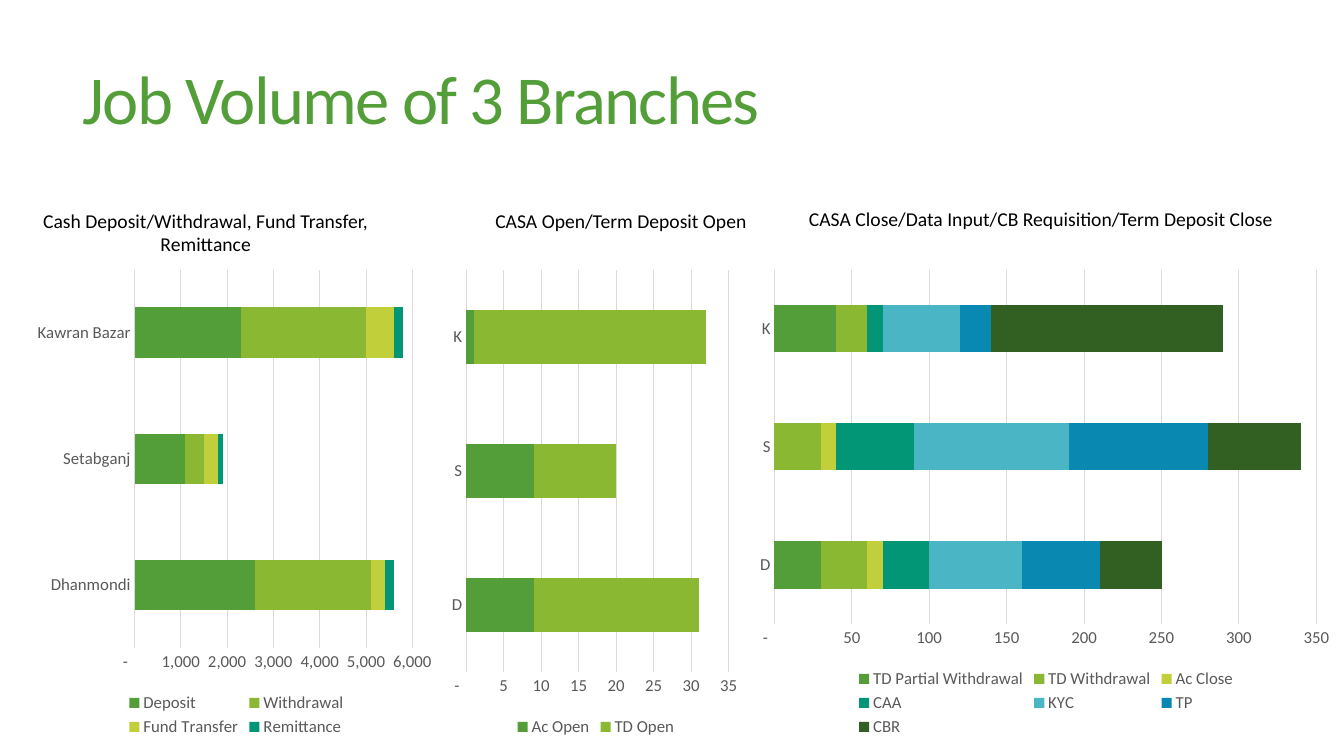
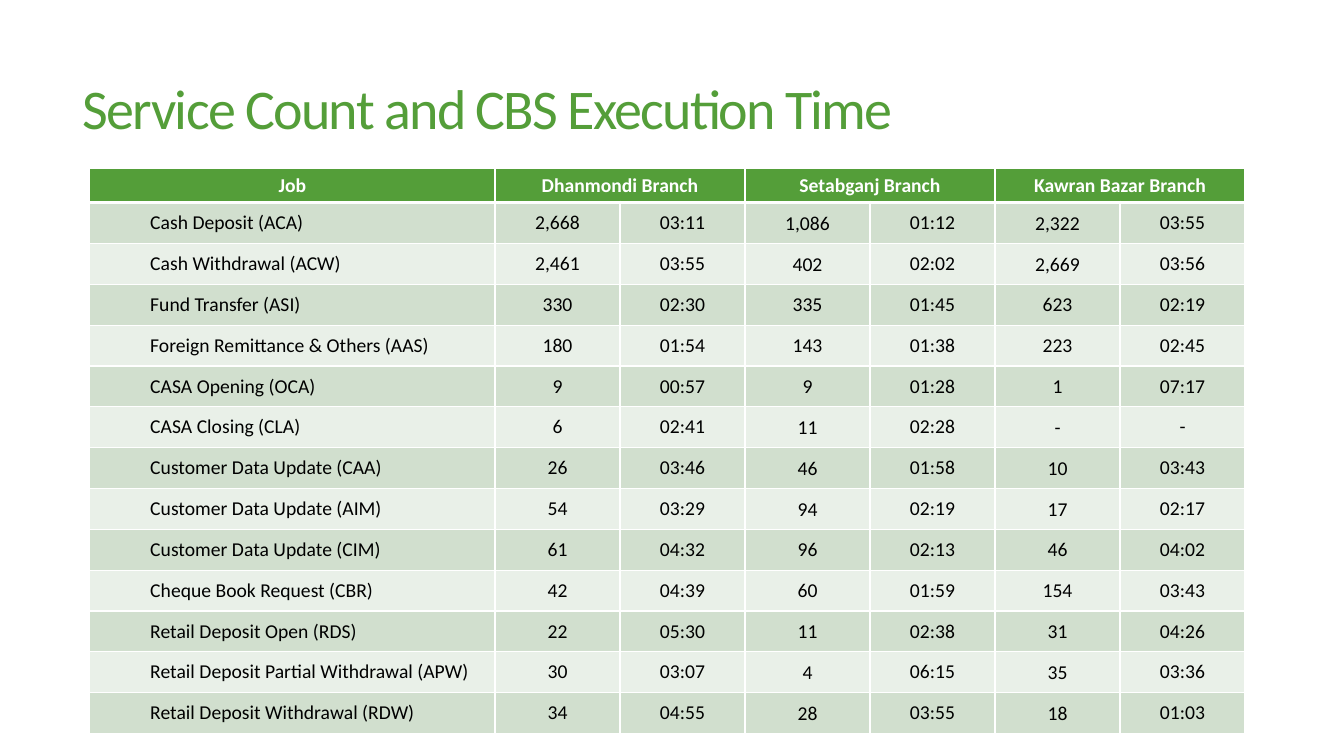
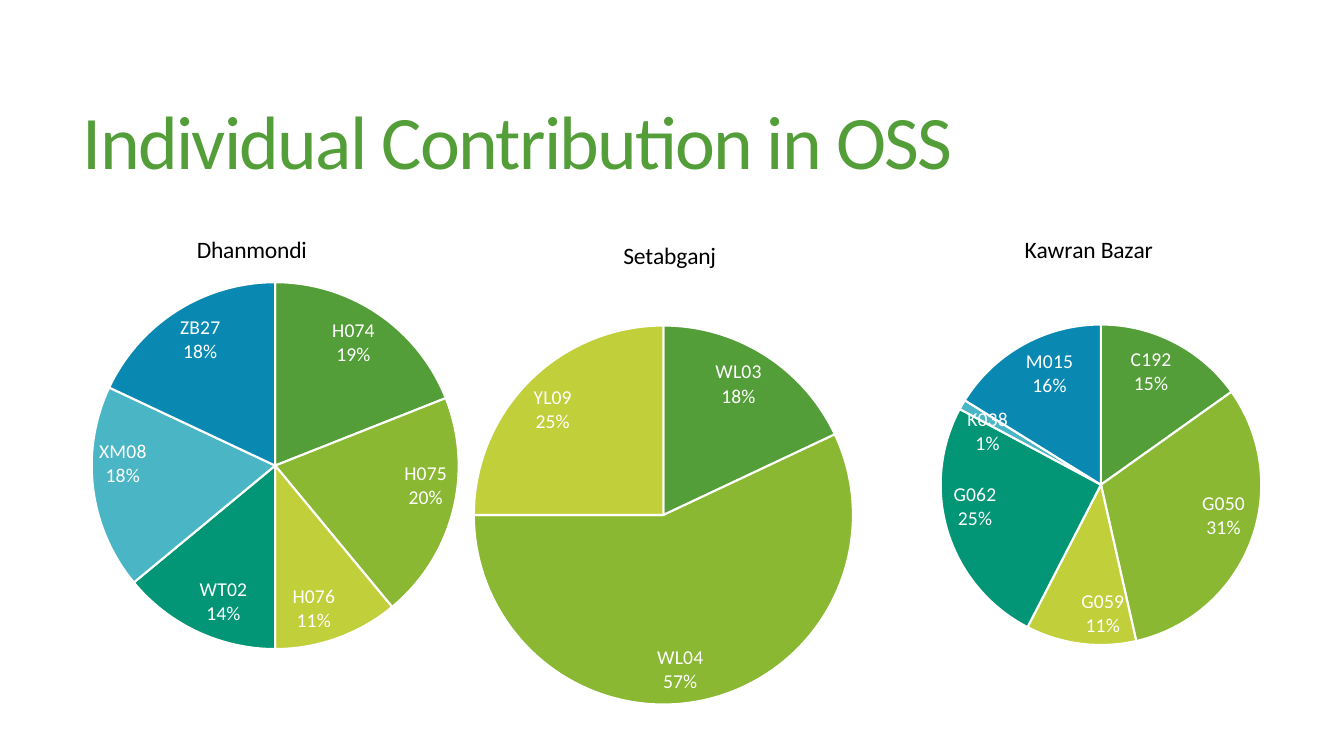
from lxml import etree
from pptx import Presentation
from pptx.chart.data import CategoryChartData
from pptx.dml.color import RGBColor
from pptx.enum.chart import (XL_CHART_TYPE, XL_LABEL_POSITION,
                             XL_LEGEND_POSITION, XL_TICK_MARK)
from pptx.enum.text import MSO_ANCHOR, MSO_AUTO_SIZE, PP_ALIGN
from pptx.oxml.ns import qn
from pptx.util import Inches, Pt

BAR, PIE = XL_CHART_TYPE.BAR_STACKED, XL_CHART_TYPE.PIE
BOTTOM, IN_END = XL_LEGEND_POSITION.BOTTOM, XL_LABEL_POSITION.INSIDE_END
NO_TICK = XL_TICK_MARK.NONE
LEFT, CENTER = PP_ALIGN.LEFT, PP_ALIGN.CENTER
MIDDLE, TOP = MSO_ANCHOR.MIDDLE, MSO_ANCHOR.TOP
NO_FIT, GROW = MSO_AUTO_SIZE.NONE, MSO_AUTO_SIZE.SHAPE_TO_FIT_TEXT

FONT = "Calibri"
HEX = {"green": "549E39", "lime": "8AB833", "olive": "C0CF3A",
       "teal": "029676", "aqua": "4AB5C4", "blue": "0989B1",
       "forest": "325F22", "black": "000000", "white": "FFFFFF",
       "gray": "595959", "grid": "D9D9D9", "dark": "D1DFCE",
       "light": "E9F0E8"}
CYCLE = ["green", "lime", "olive", "teal", "aqua", "blue", "forest"]
NUM = '_(* #,##0_);_(* \\(#,##0\\);_(* "-"??_);_('

# Slide 1: heading, heading box (left, top, width), chart left and width,
# axis maximum, categories, series
BARS = [
    ("Cash Deposit/Withdrawal, Fund Transfer, Remittance",
     (0.29, 2.02, 3.5), 0.29, 4.11, 6000,
     ["Dhanmondi", "Setabganj", "Kawran Bazar"],
     {"Deposit": (2600, 1100, 2300), "Withdrawal": (2500, 400, 2700),
      "Fund Transfer": (300, 300, 600), "Remittance": (200, 100, 200)}),
    ("CASA Open/Term Deposit Open",
     (4.41, 2.02, 3.5), 4.41, 3, None, ["D", "S", "K"],
     {"Ac Open": (9, 9, 1), "TD Open": (22, 11, 31)}),
    ("CASA Close/Data Input/CB Requisition/Term Deposit Close",
     (7.47, 2, 5.71), 7.41, 5.93, 350, ["D", "S", "K"],
     {"TD Partial Withdrawal": (30, 0, 40), "TD Withdrawal": (30, 30, 20),
      "Ac Close": (10, 10, 0), "CAA": (30, 50, 10), "KYC": (60, 100, 50),
      "TP": (50, 90, 20), "CBR": (40, 60, 150)}),
]

# Slide 2: a count and a time for each branch
HEADS = ["Job", "Dhanmondi Branch", "Setabganj Branch", "Kawran Bazar Branch"]
JOBS = [
    ("Cash Deposit (ACA)", "2,668", "03:11", "1,086", "01:12", "2,322", "03:55"),
    ("Cash Withdrawal (ACW)", "2,461", "03:55", "402", "02:02", "2,669", "03:56"),
    ("Fund Transfer (ASI)", "330", "02:30", "335", "01:45", "623", "02:19"),
    ("Foreign Remittance & Others (AAS)",
     "180", "01:54", "143", "01:38", "223", "02:45"),
    ("CASA Opening (OCA)", "9", "00:57", "9", "01:28", "1", "07:17"),
    ("CASA Closing (CLA)", "6", "02:41", "11", "02:28", "-", "-"),
    ("Customer Data Update (CAA)", "26", "03:46", "46", "01:58", "10", "03:43"),
    ("Customer Data Update (AIM)", "54", "03:29", "94", "02:19", "17", "02:17"),
    ("Customer Data Update (CIM)", "61", "04:32", "96", "02:13", "46", "04:02"),
    ("Cheque Book Request (CBR)", "42", "04:39", "60", "01:59", "154", "03:43"),
    ("Retail Deposit Open (RDS)", "22", "05:30", "11", "02:38", "31", "04:26"),
    ("Retail Deposit Partial Withdrawal (APW)",
     "30", "03:07", "4", "06:15", "35", "03:36"),
    ("Retail Deposit Withdrawal (RDW)",
     "34", "04:55", "28", "03:55", "18", "01:03"),
]

# Slide 3: heading and its left, chart left and top,
# pie centre and radius, shares
PIES = [
    ("Dhanmondi", 1.91, -1.05, 2.08, (2.73, 4.62, 1.82),
     {"H074": 19, "H075": 20, "H076": 11, "WT02": 14, "XM08": 18, "ZB27": 18}),
    ("Setabganj", 6.14, 3.09, 2.13, (6.58, 5.11, 1.88),
     {"WL03": 18, "WL04": 57, "YL09": 25}),
    ("Kawran Bazar", 10.12, 7.24, 2.08, (10.92, 4.81, 1.59),
     {"C192": 15, "G050": 31, "G059": 11, "G062": 25, "K038": 1, "M015": 16}),
]
PIE_W, PIE_H = 7.03, 5


def rgb(name):
    return RGBColor.from_string(HEX[name])


def style(font, size, color, bold=False):
    font.name, font.size, font.bold = FONT, Pt(size), bold
    font.color.rgb = rgb(color)


def put(frame, text, size=14, color="black", bold=False, align=LEFT,
        anchor=TOP, indent=0, lead=None, track=None):
    frame.word_wrap = True
    frame.vertical_anchor = anchor
    para = frame.paragraphs[0]
    para.alignment = align
    if lead:
        para.line_spacing = lead
    if indent:
        para._p.get_or_add_pPr().set("marL", str(Inches(indent)))
    run = para.add_run()
    run.text = text
    style(run.font, size, color, bold)
    if track:
        run._r.get_or_add_rPr().set("spc", str(round(track * 100)))


def start(prs, text, size, height):
    slide = prs.slides.add_slide(prs.slide_layouts[5])
    title = slide.shapes.title
    title.left, title.top = Inches(0.72), Inches(0.55)
    title.width, title.height = Inches(11.78), Inches(height)
    put(title.text_frame, text, size=size, color="green", anchor=MIDDLE,
        lead=0.85, track=-1.2)
    title.text_frame.auto_size = NO_FIT
    return slide


def plot(slide, kind, box, cats, series):
    data = CategoryChartData()
    data.categories = cats
    for name, vals in series.items():
        data.add_series(name, vals)
    return slide.shapes.add_chart(kind, *map(Inches, box), data).chart


def place(node, index, inner=False, **spots):
    """Give a chart part a fixed place, as shares of the chart."""
    for old in node.findall(qn("c:layout")):
        node.remove(old)
    layout = etree.Element(qn("c:layout"))
    node.insert(index, layout)
    manual = etree.SubElement(layout, qn("c:manualLayout"))
    pairs = [("layoutTarget", "inner")] if inner else []
    pairs += [("xMode", "edge"), ("yMode", "edge")]
    pairs += [(key, f"{val:.4f}") for key, val in spots.items()]
    for key, val in pairs:
        etree.SubElement(manual, qn("c:" + key)).set("val", val)


def bar(slide, left, width, top, cats, series):
    chart = plot(slide, BAR, (left, 2.58, width, 4.77), cats, series)
    chart.has_title = False
    style(chart.font, 10, "black")
    chart.has_legend = True
    chart.legend.position = BOTTOM
    chart.legend.include_in_layout = False
    style(chart.legend.font, 12, "gray")
    axes = cat, val = chart.category_axis, chart.value_axis
    for axis in axes:
        axis.major_tick_mark = axis.minor_tick_mark = NO_TICK
        style(axis.tick_labels.font, 12, "gray")
    val.has_major_gridlines = True
    for line in (cat.format.line, val.major_gridlines.format.line):
        line.color.rgb = rgb("grid")
        line.width = Pt(0.75)
    val.format.line.fill.background()
    val.tick_labels.number_format = NUM
    val.tick_labels.number_format_is_linked = False
    if top:
        val.maximum_scale = top
    group = chart.plots[0]
    group.gap_width, group.overlap = 150, 100
    group.vary_by_categories = False
    for ser, color in zip(group.series, CYCLE):
        ser.invert_if_negative = False
        ser.format.fill.solid()
        ser.format.fill.fore_color.rgb = rgb(color)


def pie(slide, text, head, left, top, disc, shares):
    chart = plot(slide, PIE, (left, top, PIE_W, PIE_H), list(shares),
                 {"Series 1": list(shares.values())})
    style(chart.font, 14, "white")
    chart.has_legend = False
    chart.has_title = True
    title = chart.chart_title
    put(title.text_frame, text, size=16.8, align=CENTER)
    place(title._element, 1, x=(head - left) / PIE_W, y=0.04)
    x, y, rad = disc
    place(chart._chartSpace.chart.plotArea, 0, inner=True,
          x=(x - rad - left) / PIE_W, y=(y - rad - top) / PIE_H,
          w=2 * rad / PIE_W, h=2 * rad / PIE_H)
    group = chart.plots[0]
    group.vary_by_categories = True
    for i, color in enumerate(CYCLE[:len(shares)]):
        form = group.series[0].points[i].format
        form.fill.solid()
        form.fill.fore_color.rgb = rgb(color)
        form.line.color.rgb = rgb("white")
        form.line.width = Pt(1.5)
    group.has_data_labels = True
    tags = group.data_labels
    tags.show_value = False
    tags.show_category_name = tags.show_percentage = True
    tags.position = IN_END
    style(tags.font, 14, "white")


def paint(cell, fill, base=1):
    cell.fill.solid()
    cell.fill.fore_color.rgb = rgb(fill)
    props = cell._tc.get_or_add_tcPr()
    edges = {"lnL": 1, "lnR": 1, "lnT": 1, "lnB": base}
    for i, (side, width) in enumerate(edges.items()):
        line = etree.Element(qn("a:" + side), w=str(Pt(width)))
        solid = etree.SubElement(line, qn("a:solidFill"))
        etree.SubElement(solid, qn("a:srgbClr")).set("val", HEX["white"])
        props.insert(i, line)


def grid(slide):
    wide, slim, high, head = 4.02, 1.24, 5.61, 0.34
    table = slide.shapes.add_table(
        len(JOBS) + 1, 7, Inches(0.89), Inches(1.67),
        Inches(wide + 6 * slim), Inches(high)).table
    table.horz_banding = False
    for i, col in enumerate(table.columns):
        col.width = Inches(slim if i else wide)
    for i, row in enumerate(table.rows):
        row.height = Inches((high - head) / len(JOBS) if i else head)
    # Header row
    for i in range(7):
        paint(table.cell(0, i), "green", base=3)
    for i, text in enumerate(HEADS):
        cell = table.cell(0, max(0, 2 * i - 1))
        if i:
            cell.merge(table.cell(0, 2 * i))
        put(cell.text_frame, text, color="white", bold=True, align=CENTER)
    # Job rows
    for r, job in enumerate(JOBS, 1):
        for c, text in enumerate(job):
            cell = table.cell(r, c)
            paint(cell, "dark" if r % 2 else "light")
            put(cell.text_frame, text, align=CENTER if c else LEFT,
                indent=0 if c else 0.5)
            cell.vertical_anchor = MIDDLE
            if c in (3, 5):
                cell.margin_left = cell.margin_right = Inches(0.01)
                cell.margin_top, cell.margin_bottom = Inches(0.01), 0


def main():
    prs = Presentation()
    prs.slide_width, prs.slide_height = Inches(13.33), Inches(7.5)

    # Job volume
    slide = start(prs, "Job Volume of 3 Branches", 49, 0.96)
    for text, spot, *rest in BARS:
        bar(slide, *rest)
        box = slide.shapes.add_textbox(*map(Inches, spot), Inches(0.34))
        put(box.text_frame, text, align=CENTER)
        box.text_frame.auto_size = GROW

    # Service table
    grid(start(prs, "Service Count and CBS Execution Time", 40, 1.13))

    # Shares by person
    slide = start(prs, "Individual Contribution in OSS", 54, 1.81)
    for item in PIES:
        pie(slide, *item)

    prs.save("out.pptx")


if __name__ == "__main__":
    main()
